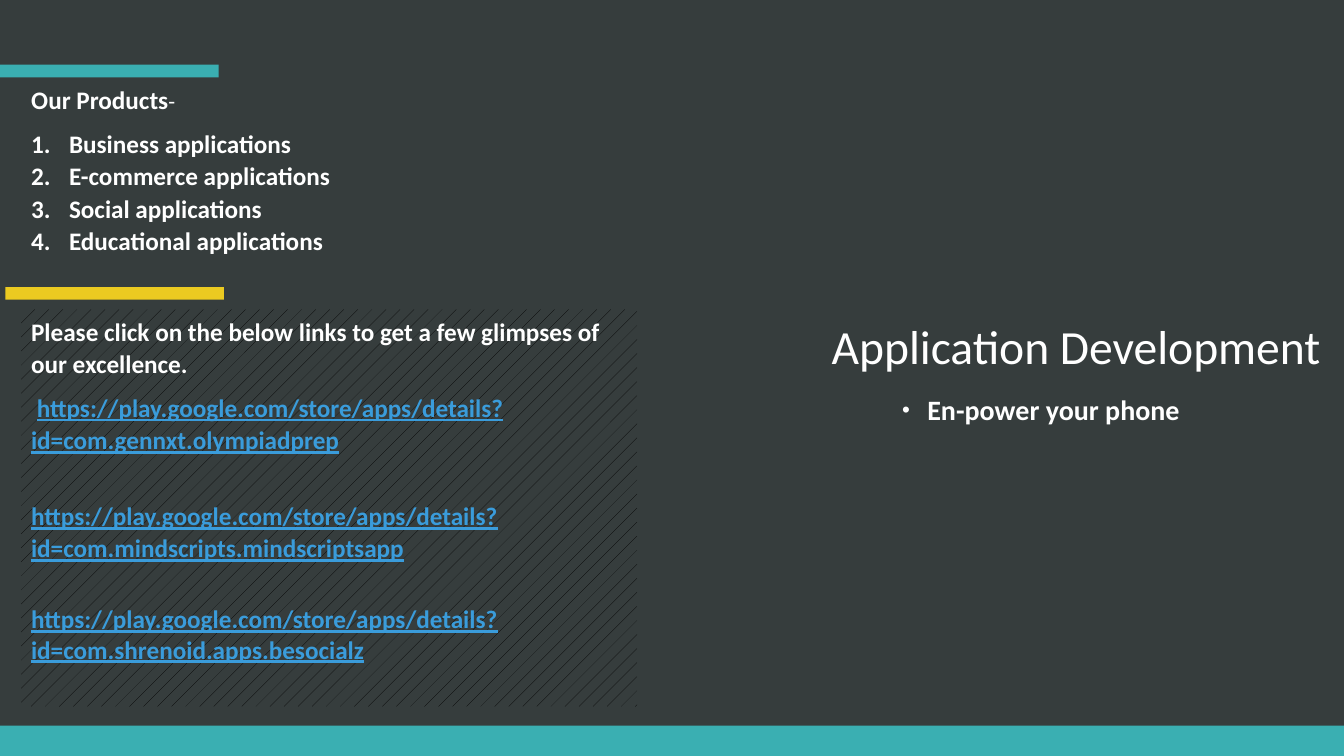
from dataclasses import dataclass

from lxml.etree import SubElement
from pptx import Presentation
from pptx.dml.color import RGBColor as RGB
from pptx.enum.dml import MSO_PATTERN as Pattern
from pptx.enum.shapes import MSO_SHAPE as Shape
from pptx.enum.text import MSO_ANCHOR as Anchor, MSO_AUTO_SIZE as AutoSize, PP_ALIGN as Align
from pptx.oxml.ns import qn
from pptx.util import Pt


@dataclass(frozen=True)
class Theme:
    font: str = "Calibri"
    background: str = "363D3D"
    text: str = "FFFFFF"
    link: str = "3A9CDB"
    teal: str = "3AAFB2"
    yellow: str = "EBCA21"
    hatch: str = "000000"
    title: int = 34
    tagline: int = 20
    body: int = 18
    small: int = 16


class SlideBuilder:
    def __init__(self, slide, theme):
        self.s, self.theme = slide, theme
        fill = slide.background.fill
        fill.solid()
        fill.fore_color.rgb = RGB.from_string(theme.background)

    def bar(self, box, color):
        sp = self.s.shapes.add_shape(Shape.RECTANGLE, *map(Pt, box))
        sp.shadow.inherit = False
        sp.fill.solid()
        sp.fill.fore_color.rgb = RGB.from_string(color)
        sp.line.fill.background()

    def hatched_panel(self, box):
        sp = self.s.shapes.add_shape(Shape.RECTANGLE, *map(Pt, box))
        sp.shadow.inherit = False
        sp.fill.patterned()
        sp.fill.pattern = Pattern.PERCENT_5
        sp.fill.fore_color.rgb = RGB.from_string(self.theme.hatch)
        sp.fill.back_color.rgb = RGB.from_string(self.theme.background)
        sp.line.fill.background()
        return self.frame(sp)

    def placeholder(self, idx, box, anchor=Anchor.TOP):
        sp = self.s.placeholders[idx]
        sp.left, sp.top, sp.width, sp.height = map(Pt, box)
        return self.frame(sp, anchor)

    def frame(self, sp, anchor=Anchor.TOP):
        tf = sp.text_frame
        tf.word_wrap = True
        tf.auto_size = AutoSize.NONE
        tf.vertical_anchor = anchor
        return tf

    def bullet(self, p, kind, margin, hang):
        pPr = p._p.get_or_add_pPr()
        pPr.set("marL", str(Pt(margin)))
        pPr.set("indent", str(Pt(-hang)))
        if kind == "number":
            SubElement(pPr, qn("a:buAutoNum"), type="arabicPeriod")
        elif kind:
            SubElement(pPr, qn("a:buSzPct"), val="80000")
            SubElement(pPr, qn("a:buFont"), typeface="Arial")
            SubElement(pPr, qn("a:buChar"), char=kind)
        else:
            SubElement(pPr, qn("a:buNone"))

    def paragraph(self, tf, text, size, kind=None, margin=0, hang=0, spacing=1.07, after=0, bold=True):
        p = tf.add_paragraph() if tf.text else tf.paragraphs[0]
        self.bullet(p, kind, margin, hang)
        p.text = text
        p.alignment = Align.LEFT
        p.line_spacing = spacing
        p.space_before, p.space_after = Pt(0), Pt(after)
        self.style(p.runs[0], size, bold)
        return p

    def run(self, p, text, size, bold=False):
        r = p.add_run()
        r.text = text
        self.style(r, size, bold)
        return r

    def style(self, r, size, bold):
        r.font.name, r.font.size, r.font.bold = self.theme.font, Pt(size), bold
        r.font.color.rgb = RGB.from_string(self.theme.text)

    def link_style(self, r):
        r.font.underline = True
        r.font.color.rgb = RGB.from_string(self.theme.link)


def main():
    theme = Theme()
    prs = Presentation()
    prs.slide_width, prs.slide_height = Pt(960), Pt(540)
    b = SlideBuilder(prs.slides.add_slide(prs.slide_layouts[3]), theme)

    # Footer band
    b.bar((0, 518.4, 960, 21.6), theme.teal)

    # Title and tagline
    tf = b.placeholder(0, (586.8, 213.8, 373.2, 57.6), Anchor.BOTTOM)
    b.paragraph(tf, "Application Development", theme.title, spacing=0.9, bold=False)
    tf = b.placeholder(2, (633.6, 279.4, 280, 67))
    b.paragraph(tf, "En-power your phone", theme.tagline, "•", 21.6, 18, spacing=0.9)

    # Products
    tf = b.placeholder(1, (15.1, 55.4, 480.2, 131.8))
    p = b.paragraph(tf, "Our Products", theme.body, after=8)
    b.run(p, "-", theme.small)
    for name in ("Business", "E-commerce", "Social", "Educational"):
        b.paragraph(tf, f"{name} applications", theme.body, "number", 27, 27)

    # Sample links
    tf = b.hatched_panel((15.1, 221, 439.9, 283.7))
    b.paragraph(tf, "Please click on the below links to get a few glimpses of our excellence.",
                theme.body, after=8)
    store = "https://play.google.com/store/apps/details?id="
    p = b.paragraph(tf, " ", theme.body, after=31, bold=False)
    b.link_style(b.run(p, store + "com.gennxt.olympiadprep", theme.body, True))
    for app, spacing, after in (("com.mindscripts.mindscriptsapp", 1.07, 29),
                                ("com.shrenoid.apps.besocialz", 1, 0)):
        p = b.paragraph(tf, store + app, theme.body, spacing=spacing, after=after)
        b.link_style(p.runs[0])

    # Accent bars
    b.bar((0, 46.2, 156.2, 9.1), theme.teal)
    b.bar((3.8, 205, 156.2, 9.1), theme.yellow)

    prs.save("out.pptx")


if __name__ == "__main__":
    main()
